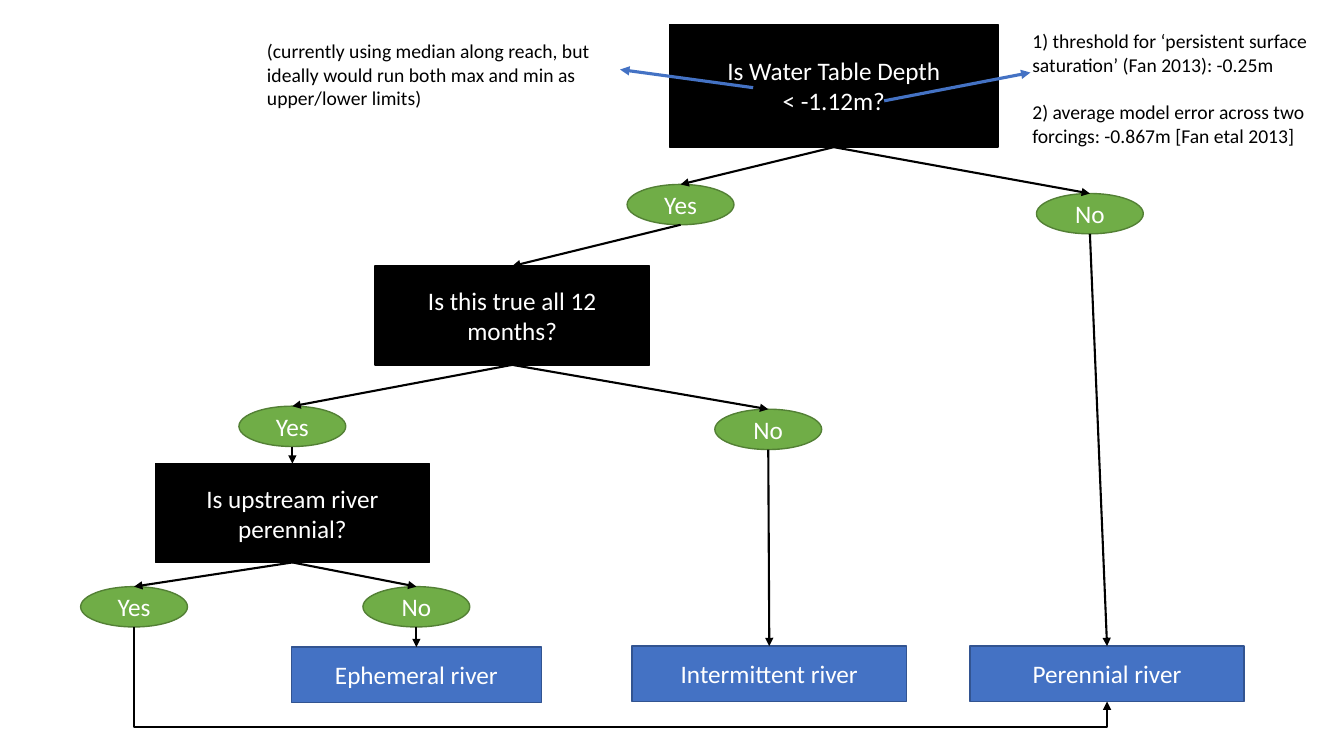
from lxml import etree
from pptx import Presentation
from pptx.dml.color import RGBColor
from pptx.enum.shapes import MSO_CONNECTOR, MSO_SHAPE
from pptx.enum.text import MSO_ANCHOR, MSO_AUTO_SIZE, PP_ALIGN
from pptx.oxml.ns import qn
from pptx.util import Inches, Pt

RECT, OVAL = MSO_SHAPE.RECTANGLE, MSO_SHAPE.OVAL
STRAIGHT, ELBOW = MSO_CONNECTOR.STRAIGHT, MSO_CONNECTOR.ELBOW
MIDDLE, CENTER = MSO_ANCHOR.MIDDLE, PP_ALIGN.CENTER
GROW = MSO_AUTO_SIZE.SHAPE_TO_FIT_TEXT
TOP, BOTTOM, OVAL_BOTTOM = 0, 2, 4

COLORS = {
    "black": "000000", "white": "FFFFFF", "green": "70AD47",
    "dark green": "538035", "blue": "4472C4", "dark blue": "325491",
}


class FlowSlide:
    font = "Calibri"

    def __init__(self, slide):
        self.shapes = slide.shapes

    def color(self, name):
        return RGBColor.from_string(COLORS[name])

    def add_lines(self, frame, lines, size, color, align=None, gap=0):
        frame.word_wrap = True
        for i, line in enumerate(lines):
            paragraph = frame.paragraphs[0] if i == 0 else frame.add_paragraph()
            paragraph.alignment = align
            if i and gap:
                paragraph.space_before = Pt(gap)
            run = paragraph.add_run()
            run.text = line
            run.font.name = self.font
            run.font.size = Pt(size)
            run.font.color.rgb = self.color(color)

    def node(self, kind, box, lines, fill, outline):
        shape = self.shapes.add_shape(kind, *map(Inches, box))
        shape.shadow.inherit = False
        shape.fill.solid()
        shape.fill.fore_color.rgb = self.color(fill)
        shape.line.color.rgb = self.color(outline)
        shape.line.width = Pt(1)
        shape.text_frame.vertical_anchor = MIDDLE
        self.add_lines(shape.text_frame, lines, 18, "white", CENTER)
        return shape

    def question(self, left, top, width, height, *lines):
        return self.node(RECT, (left, top, width, height), lines, "black", "black")

    def answer(self, left, top, text):
        return self.node(OVAL, (left, top, 1.06, 0.4), [text], "green", "dark green")

    def outcome(self, left, top, width, text):
        return self.node(RECT, (left, top, width, 0.55), [text], "blue", "dark blue")

    def note(self, box, *lines):
        frame = self.shapes.add_textbox(*map(Inches, box)).text_frame
        frame.auto_size = GROW
        self.add_lines(frame, lines, 14, "black", gap=17)

    def arrow(self, start, end, color="black", width=1.5, kind=STRAIGHT):
        arrow = self.shapes.add_connector(kind, *map(Inches, start + end))
        arrow.line.color.rgb = self.color(color)
        arrow.line.width = Pt(width)
        outline = arrow.element.spPr.find(qn("a:ln"))
        etree.SubElement(outline, qn("a:tailEnd"), type="triangle")
        etree.SubElement(arrow.element.spPr, qn("a:effectLst"))
        return arrow

    def link(self, upper, lower):
        arrow = self.arrow((0, 0), (1, 1))
        arrow.begin_connect(upper, BOTTOM)
        arrow.end_connect(lower, TOP)
        if upper.auto_shape_type == OVAL:
            # An ellipse has eight sites, so its bottom has another number
            arrow.element.xpath(".//a:stCxn")[0].set("idx", str(OVAL_BOTTOM))

    def loop_under(self, start, end, drop):
        """Bent arrow that leaves downwards, passes below end and comes up to it."""
        (x1, y1), (x2, y2) = start, end
        across, down = x2 - x1, y2 - y1
        arrow = self.arrow(start, end, kind=ELBOW)
        # The bent preset runs sideways: turn it about its centre
        arrow.left = Inches((x1 + x2 - down) / 2)
        arrow.top = Inches((y1 + y2 - across) / 2)
        arrow.width, arrow.height = Inches(down), Inches(across)
        frame = arrow.element.spPr.find(qn("a:xfrm"))
        frame.set("rot", str(270 * 60000))
        frame.set("flipH", "1")
        guides = arrow.element.xpath(".//a:avLst")[0]
        bend = round((down + drop) / down * 100000)
        etree.SubElement(guides, qn("a:gd"), name="adj1", fmla=f"val {bend}")


def main():
    deck = Presentation()
    deck.slide_width, deck.slide_height = Inches(13.33), Inches(7.5)
    flow = FlowSlide(deck.slides.add_slide(deck.slide_layouts[6]))

    # Questions
    depth = flow.question(6.64, 0.24, 3.26, 1.22, "Is Water Table Depth", "< -1.12m?")
    all_year = flow.question(3.72, 2.64, 2.72, 0.98, "Is this true all 12 months?")
    upstream = flow.question(1.54, 4.6, 2.72, 0.98, "Is upstream river perennial?")

    # Answers
    depth_yes = flow.answer(6.22, 1.83, "Yes")
    depth_no = flow.answer(10.28, 1.92, "No")
    all_year_yes = flow.answer(2.37, 4.03, "Yes")
    all_year_no = flow.answer(7.09, 4.06, "No")
    upstream_yes = flow.answer(0.8, 5.82, "Yes")
    upstream_no = flow.answer(3.6, 5.82, "No")

    # River types
    ephemeral = flow.outcome(2.89, 6.42, 2.48, "Ephemeral river")
    intermittent = flow.outcome(6.27, 6.41, 2.72, "Intermittent river")
    perennial = flow.outcome(9.62, 6.41, 2.72, "Perennial river")

    # Decision paths
    for upper, lower in [
        (depth, depth_yes), (depth, depth_no),
        (depth_yes, all_year), (depth_no, perennial),
        (all_year, all_year_yes), (all_year, all_year_no),
        (all_year_yes, upstream), (all_year_no, intermittent),
        (upstream, upstream_yes), (upstream, upstream_no),
        (upstream_no, ephemeral),
    ]:
        flow.link(upper, lower)
    flow.loop_under((1.33, 6.22), (10.98, 6.96), 0.25)

    # Notes on the depth threshold
    flow.note((10.14, 0.24, 3.19, 1.28),
              "1) threshold for ‘persistent surface saturation’ (Fan 2013): -0.25m",
              "2) average model error across two forcings: -0.867m [Fan etal 2013]")
    flow.arrow((8.77, 1), (10.22, 0.72), "blue", 2.25)
    flow.note((2.55, 0.34, 3.86, 0.81),
              "(currently using median along reach, but ideally would run both "
              "max and min as upper/lower limits)")
    flow.arrow((7.47, 0.87), (6.15, 0.69), "blue", 2.25)

    deck.save("out.pptx")


if __name__ == "__main__":
    main()
